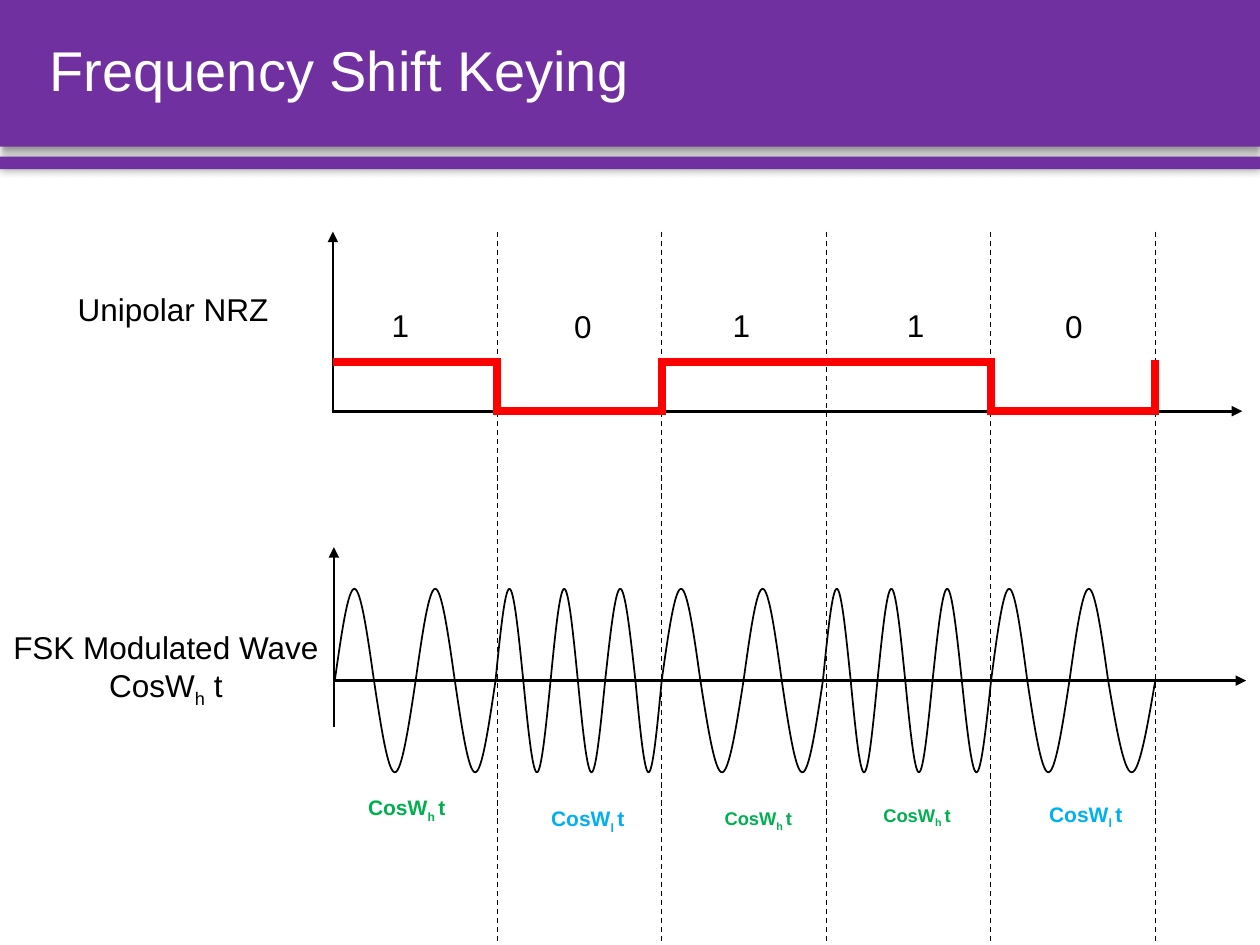
from itertools import pairwise

from lxml.etree import SubElement
from pptx import Presentation
from pptx.dml.color import RGBColor
from pptx.enum.dml import MSO_LINE_DASH_STYLE as DASH
from pptx.enum.shapes import MSO_CONNECTOR as CONNECTOR, MSO_SHAPE as SHAPE
from pptx.enum.text import MSO_ANCHOR as ANCHOR, PP_ALIGN as ALIGN
from pptx.oxml.ns import qn
from pptx.util import Cm, Pt

PURPLE, BLACK, RED, WHITE = "7030A0", "000000", "FF0000", "FFFFFF"
GREEN, BLUE = "00B050", "00B0F0"
BITS = "10110"
BIT_START, BIT_WIDTH = 6.71, 16.58 / len(BITS)
EDGES = [BIT_START + BIT_WIDTH * number for number in range(len(BITS) + 1)]
LEVELS = {"1": 7.3, "0": 8.28}
WAVE_AXIS, AMPLITUDE = 13.72, 1.85
CROSSINGS = (6.75, 7.54, 8.38, 9.17, 9.99, 10.55, 11.1, 11.65, 12.2, 12.81,
             13.34, 14.12, 14.99, 15.76, 16.59, 17.15, 17.69, 18.25, 18.8,
             19.39, 19.98, 20.71, 21.56, 22.34, 23.29)
DIGITS = ((7.55, 6.05, 1.04), (11.13, 6.07, 1.24), (14.52, 6.05, 0.66),
          (18.03, 6.05, 0.66), (21.03, 6.07, 1.24))
TONES = ((7.17, 15.9, "h", 12, GREEN), (10.86, 16.12, "l", 12, BLUE),
         (14.36, 16.15, "h", 10.5, GREEN), (17.56, 16.08, "h", 10.5, GREEN),
         (20.9, 16.03, "l", 12, BLUE))


def color(value):
    """Return the colour of a hex string."""
    return RGBColor.from_string(value)


def add_band(slide, top, height, blur, distance, direction):
    """Add a full-width purple band with a soft shadow."""
    shape = slide.shapes.add_shape(SHAPE.RECTANGLE, 0, Cm(top), Cm(25.4), Cm(height))
    shape.fill.solid()
    shape.fill.fore_color.rgb = color(PURPLE)
    shape.line.fill.background()
    shape.shadow.inherit = False
    effects = shape.element.spPr.find(qn("a:effectLst"))
    shadow = SubElement(effects, qn("a:outerShdw"), blurRad=str(Pt(blur)),
                        dist=str(Pt(distance)), dir=str(direction * 60000),
                        algn="t", rotWithShape="0")
    tint = SubElement(shadow, qn("a:srgbClr"), val=BLACK)
    SubElement(tint, qn("a:alpha"), val="40000")


def add_line(slide, start, end, hue=BLACK, width=1.5, dash=None, arrow=False):
    """Add a straight line, dashed or with an arrowhead on request."""
    connector = slide.shapes.add_connector(
        CONNECTOR.STRAIGHT, *(Cm(value) for value in (*start, *end)))
    connector.line.color.rgb = color(hue)
    for name, value in {"width": Pt(width), "dash_style": dash}.items():
        setattr(connector.line, name, value)
    if arrow:
        SubElement(connector.line._get_or_add_ln(), qn("a:tailEnd"), type="triangle")
    SubElement(connector.element.spPr, qn("a:effectLst"))


def add_text(slide, box, parts, size, hue=BLACK, bold=False, align=ALIGN.CENTER,
             anchor=ANCHOR.TOP, spacing=1.0):
    """Add one paragraph whose every second part is a subscript."""
    frame = slide.shapes.add_textbox(*(Cm(value) for value in box)).text_frame
    for name, value in {"word_wrap": True, "vertical_anchor": anchor}.items():
        setattr(frame, name, value)
    paragraph = frame.paragraphs[0]
    for name, value in {"alignment": align, "line_spacing": spacing}.items():
        setattr(paragraph, name, value)
    for number, part in enumerate(parts):
        run = paragraph.add_run()
        run.text = part
        for name, value in {"name": "Arial", "size": Pt(size), "bold": bold}.items():
            setattr(run.font, name, value)
        run.font.color.rgb = color(hue)
        if number % 2:
            run.font._element.set("baseline", "-25000")


def add_half_wave(slide, left, right, sign):
    """Add half a wave period as two cubic curves meeting at its peak."""
    axis, peak = Cm(WAVE_AXIS), Cm(WAVE_AXIS - sign * AMPLITUDE)
    builder = slide.shapes.build_freeform(Cm(left), axis)
    builder.add_line_segments([(Cm((left + right) / 2), peak), (Cm(right), axis)],
                              close=False)
    shape = builder.convert_to_shape()
    shape.fill.background()
    shape.line.color.rgb = color(BLACK)
    shape.line.width = Pt(1)
    shape.shadow.inherit = False

    outline = next(shape.element.iter(qn("a:path")))
    for segment in outline.findall(qn("a:lnTo")):
        outline.remove(segment)
    base, crest = (shape.height, 0) if sign > 0 else (0, shape.height)
    middle = shape.height // 2
    heights = (middle, crest, crest, crest, middle, base)
    for first in (0, 3):
        curve = SubElement(outline, qn("a:cubicBezTo"))
        for step in range(first, first + 3):
            SubElement(curve, qn("a:pt"), x=str(shape.width * (step + 1) // 6),
                       y=str(heights[step]))


def add_bit_signal(slide):
    """Draw the bits as red levels joined by steps."""
    overlap = 0.08
    for bit, (left, right) in zip(BITS, pairwise(EDGES)):
        start = max(left - overlap, BIT_START)
        add_line(slide, (start, LEVELS[bit]), (right + overlap, LEVELS[bit]), RED, 4.5)
    for edge, (before, after) in zip(EDGES[1:], pairwise(BITS + "1")):
        if before != after:
            add_line(slide, (edge, LEVELS["0"]), (edge, LEVELS["1"] - overlap / 2),
                     RED, 4.5)


def main():
    """Build the slide and save it."""
    presentation = Presentation()
    presentation.slide_width, presentation.slide_height = Cm(25.4), Cm(19.05)
    slide = presentation.slides.add_slide(presentation.slide_layouts[6])

    add_band(slide, 0, 2.96, 4, 3, 90)
    add_band(slide, 3.16, 0.25, 5, 0, 0)
    add_text(slide, (0.75, 0, 24.03, 2.95), ["Frequency Shift Keying"], 32, WHITE,
             align=ALIGN.LEFT, anchor=ANCHOR.MIDDLE, spacing=0.9)

    for edge in EDGES[1:]:
        add_line(slide, (edge, 4.67), (edge, 19.81), width=0.75, dash=DASH.DASH)
    for start, end in (((6.71, 8.28), (6.71, 4.67)), ((6.69, 8.29), (25.04, 8.29)),
                       ((6.73, 14.66), (6.73, 11.03)),
                       ((6.75, WAVE_AXIS), (25.12, WAVE_AXIS))):
        add_line(slide, start, end, arrow=True)

    add_bit_signal(slide)
    for number, (left, right) in enumerate(pairwise(CROSSINGS)):
        add_half_wave(slide, left, right, (-1) ** number)

    add_text(slide, (-0.94, 5.72, 8.86, 1.19), ["Unipolar NRZ"], 18)
    add_text(slide, (-0.11, 12.54, 6.91, 1.8),
             ["FSK Modulated Wave CosW", "h", " t"], 18)
    for bit, (left, top, width) in zip(BITS, DIGITS):
        add_text(slide, (left, top, width, 1.19), [bit], 18)
    for left, top, letter, size, hue in TONES:
        add_text(slide, (left, top, 2.31, 0.76), ["CosW", letter + " ", "t"], size,
                 hue, bold=True, align=ALIGN.LEFT)

    presentation.save("out.pptx")


if __name__ == "__main__":
    main()
